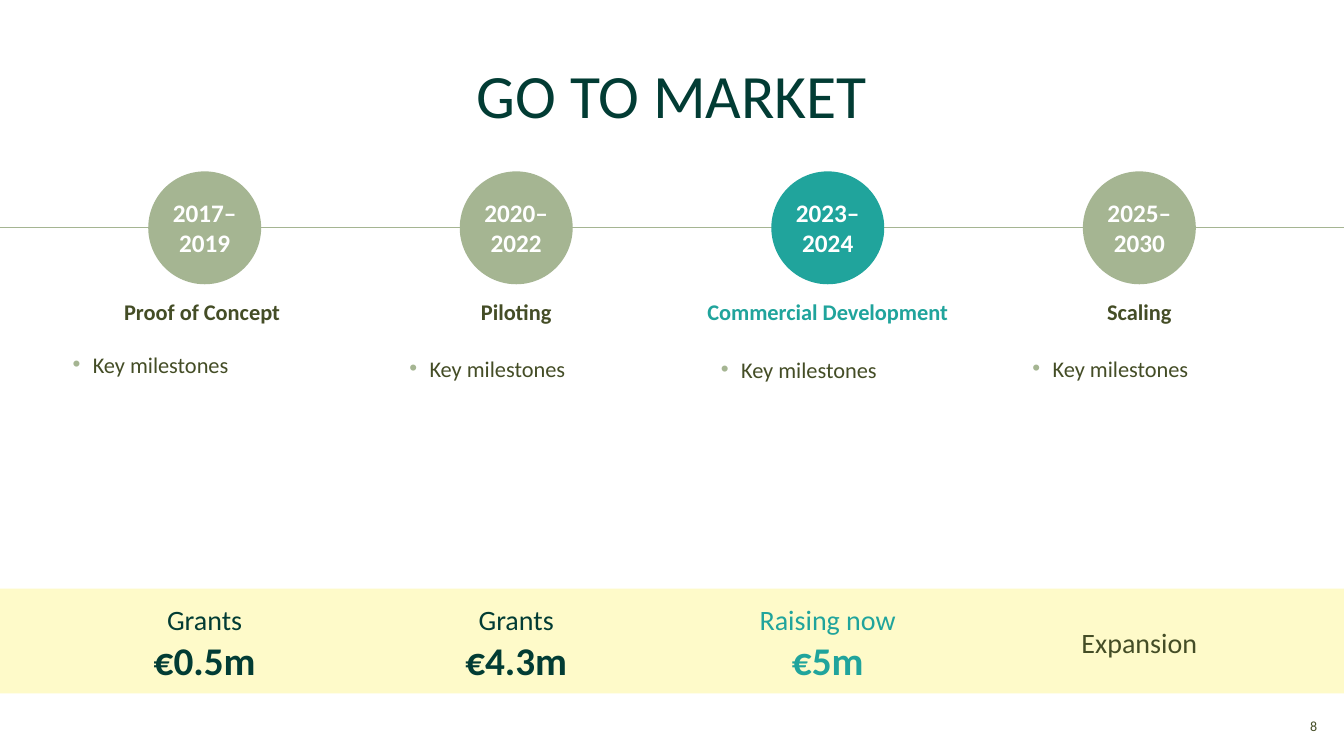
import pptx
import pptx.util
import pptx.dml.color
import pptx.enum.shapes
import pptx.enum.text
import pptx.oxml.ns
import lxml.etree

Inches = pptx.util.Inches
ALIGN = pptx.enum.text.PP_ALIGN
ANCHOR = pptx.enum.text.MSO_ANCHOR

WIDTH, HEIGHT = 13.33, 7.5
FONT = "Calibri"
COLORS = {
    "olive": "444D26",
    "sage": "A5B592",
    "teal": "20A49C",
    "forest": "023C34",
    "cream": "FEFAC9",
    "white": "FFFFFF",
}

# Timeline grid: centre of the first stage and distance between stages
FIRST_CENTER, PITCH = 2.03, 3.09
CIRCLE = 1.12
MILESTONE_SIZE = (2.85, 2.35)

# Each stage: years, circle colour, name, name colour, name width,
# milestone offset from the centre and top, funding lines and width
STAGES = [
    dict(years=("2017–", "2019"), fill="sage", name="Proof of Concept ",
         color="olive", name_width=1.9, milestone=(-1.43, 3.36),
         funding=("Grants", "€0.5m"), funding_color="forest", funding_width=1.24),
    dict(years=("2020–", "2022"), fill="sage", name="Piloting",
         color="olive", name_width=0.85, milestone=(-1.18, 3.4),
         funding=("Grants", "€4.3m"), funding_color="forest", funding_width=1.24),
    dict(years=("2023–", "2024"), fill="teal", name="Commercial Development",
         color="teal", name_width=2.84, milestone=(-1.18, 3.41),
         funding=("Raising now", "€5m"), funding_color="teal", funding_width=1.53),
    dict(years=("2025–", "2030"), fill="sage", name="Scaling",
         color="olive", name_width=0.79, milestone=(-1.18, 3.4),
         funding=("Expansion",), funding_color="olive", funding_width=1.32),
]


def rgb(name):
    return pptx.dml.color.RGBColor.from_string(COLORS[name])


def set_all(target, values):
    for name, value in values.items():
        setattr(target, name, value)


def write_lines(shape, lines, color, space=0, align=ALIGN.CENTER, margin=0,
                anchor=ANCHOR.TOP, wrap=False):
    """Fill a shape with one paragraph; lines are (text, size, bold)."""
    frame = shape.text_frame
    inset = Inches(margin)
    set_all(frame, dict(word_wrap=wrap, vertical_anchor=anchor,
                        margin_left=inset, margin_right=inset,
                        margin_top=inset, margin_bottom=inset))
    para = frame.paragraphs[0]
    set_all(para, dict(alignment=align, space_before=pptx.util.Pt(space)))
    for index, (text, size, bold) in enumerate(lines):
        if index:
            para.add_line_break()
        span = para.add_run()
        span.text = text
        set_all(span.font, dict(name=FONT, size=pptx.util.Pt(size), bold=bold))
        span.font.color.rgb = rgb(color)
    return para


def add_text(page, box, lines, color, **options):
    shape = page.shapes.add_textbox(*map(Inches, box))
    return write_lines(shape, lines, color, **options)


def add_filled(page, kind, box, fill):
    shape = page.shapes.add_shape(kind, *map(Inches, box))
    shape.shadow.inherit = False
    shape.fill.solid()
    shape.fill.fore_color.rgb = rgb(fill)
    shape.line.fill.background()
    return shape


def add_bullet(para, color):
    properties = para._p.get_or_add_pPr()
    properties.set("marL", str(Inches(0.2)))
    properties.set("indent", str(-Inches(0.2)))
    qn = pptx.oxml.ns.qn
    bullet_color = lxml.etree.SubElement(properties, qn("a:buClr"))
    lxml.etree.SubElement(bullet_color, qn("a:srgbClr"), val=COLORS[color])
    lxml.etree.SubElement(properties, qn("a:buFont"), typeface="Arial")
    lxml.etree.SubElement(properties, qn("a:buChar"), char="•")


def draw_title(page, box):
    add_text(page, box, [("GO TO MARKET", 44, False)], "forest",
             anchor=ANCHOR.MIDDLE, wrap=True)


def draw_axis(page, box):
    left, top, width, height = box
    middle = Inches(top + height / 2)
    axis = page.shapes.add_connector(
        pptx.enum.shapes.MSO_CONNECTOR.STRAIGHT,
        Inches(left), middle, Inches(left + width), middle)
    axis.line.color.rgb = rgb("sage")
    axis.line.width = pptx.util.Pt(1)
    lxml.etree.SubElement(axis._element.spPr, pptx.oxml.ns.qn("a:effectLst"))


def draw_stage(page, box, stage):
    """Year circle, stage name and milestones around the column's centre."""
    left, top, width, height = box
    center = left + width / 2
    circle = add_filled(page, pptx.enum.shapes.MSO_SHAPE.OVAL,
                        (center - CIRCLE / 2, top, CIRCLE, CIRCLE), stage["fill"])
    write_lines(circle, [(year, 18, True) for year in stage["years"]], "white",
                anchor=ANCHOR.MIDDLE)

    name_width = stage["name_width"]
    add_text(page, (center - name_width / 2, top + 1.26, name_width, 0.27),
             [(stage["name"], 16, True)], stage["color"], space=10)

    offset, milestone_top = stage["milestone"]
    para = add_text(page, (center + offset, milestone_top, *MILESTONE_SIZE),
                    [("Key milestones", 16, False)], "olive", space=6,
                    align=ALIGN.LEFT, margin=0.12, wrap=True)
    add_bullet(para, "sage")


def draw_funding(page, box, stage):
    """Funding label, with the amount below it, centred in the band."""
    left, top, width, height = box
    lines = list(zip(stage["funding"], (20, 28), (False, True)))
    text_height = 0.81 if len(lines) > 1 else 0.34
    text_width = stage["funding_width"]
    add_text(page, (left + (width - text_width) / 2,
                    top + (height - text_height) / 2 + 0.02,
                    text_width, text_height),
             lines, stage["funding_color"], space=10)


def draw_page_number(page, box):
    add_text(page, box, [("8", 10, False)], "olive", anchor=ANCHOR.MIDDLE)


def main():
    deck = pptx.Presentation()
    set_all(deck, dict(slide_width=Inches(WIDTH), slide_height=Inches(HEIGHT)))
    page = deck.slides.add_slide(deck.slide_layouts[6])

    band_top, band_height, circle_top = 5.84, 1.04, 1.7
    add_filled(page, pptx.enum.shapes.MSO_SHAPE.RECTANGLE,
               (0, band_top, WIDTH, band_height), "cream")
    draw_axis(page, (0, circle_top, WIDTH, CIRCLE))
    draw_title(page, (0.6, 0.66, WIDTH - 1.2, 0.54))
    for column, stage in enumerate(STAGES):
        left = FIRST_CENTER + (column - 0.5) * PITCH
        draw_stage(page, (left, circle_top, PITCH, 4.05), stage)
        draw_funding(page, (left, band_top, PITCH, band_height), stage)
    draw_page_number(page, (WIDTH - 0.6, HEIGHT - 0.6, 0.6, 0.6))

    deck.save("out.pptx")


if __name__ == "__main__":
    main()
